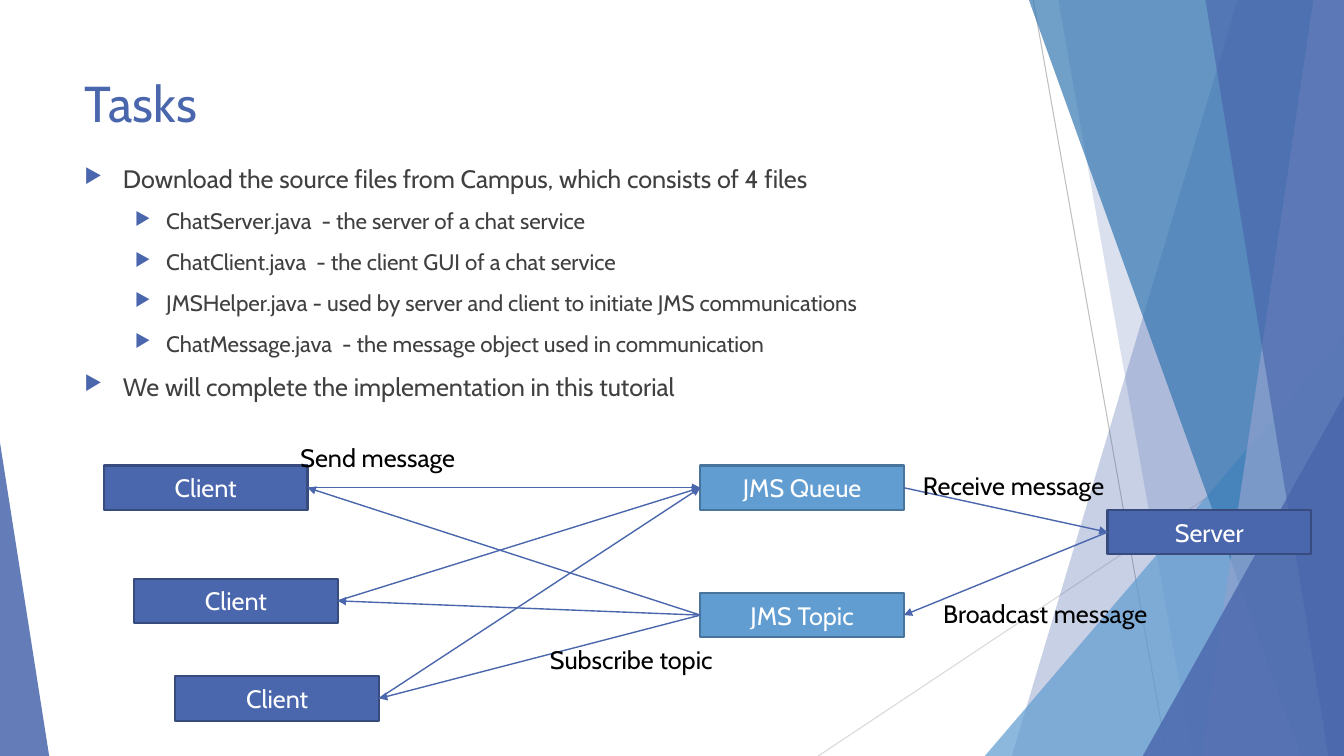
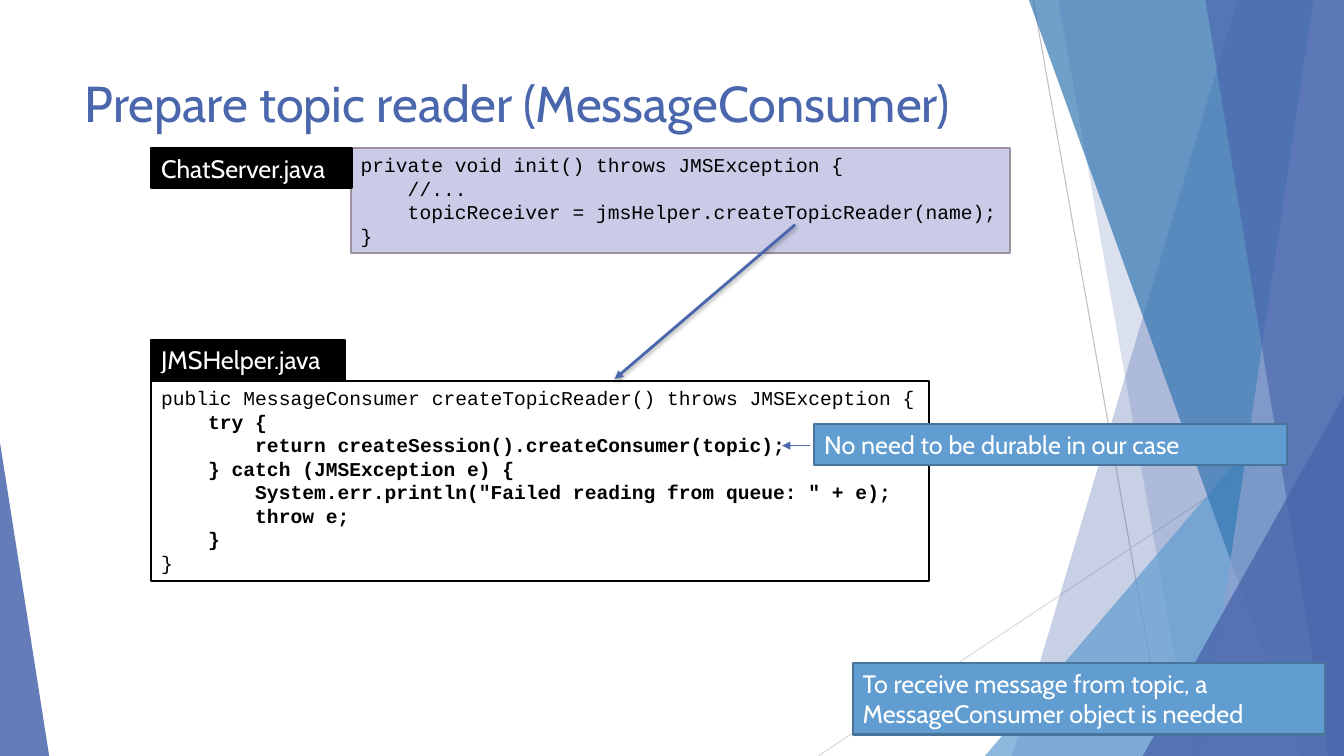
from lxml.etree import SubElement as Sub
from pptx import Presentation
from pptx.dml.color import RGBColor as Rgb
from pptx.enum.shapes import MSO_CONNECTOR as Link, MSO_SHAPE as Kind
from pptx.enum.text import MSO_ANCHOR as Anchor, MSO_AUTO_SIZE as Fit, PP_ALIGN as Align
from pptx.oxml.ns import qn
from pptx.util import Cm, Pt

WIDE, HIGH = 33.87, 19.05
SANS, MONO = "Cabin", "Courier New"
HUES = {
    "blue": "4A66AC", "navy": "374B7F", "sky": "629DD1", "steel": "49749B",
    "deep": "3477B2", "pale": "90A2CF", "lilac": "C9CBE7", "mauve": "9D90A0",
    "ink": "404040", "black": "000000", "white": "FFFFFF",
    "gray": "BFBFBF", "light": "D9D9D9",
}


def hue(name):
    return Rgb.from_string(HUES[name])


def style(par, size, tone, face=SANS, bold=False):
    font = par.font
    font.name, font.size, font.bold = face, Pt(size), bold
    font.color.rgb = hue(tone)


def write(frame, lines, size, tone, face=SANS, align=Align.LEFT, bold=()):
    for num, line in enumerate(lines):
        par = frame.add_paragraph() if num else frame.paragraphs[0]
        par.text = line
        par.alignment = align
        style(par, size, tone, face, num in bold)


def paint(shape, tone, edge=None, alpha=None):
    shape.shadow.inherit = False
    shape.fill.solid()
    shape.fill.fore_color.rgb = hue(tone)
    if edge:
        shape.line.color.rgb = hue(edge)
        shape.line.width = Pt(1.5)
    else:
        shape.line.fill.background()
    if alpha:
        color = shape.element.find(".//" + qn("a:srgbClr"))
        Sub(color, qn("a:alpha"), val=str(alpha * 1000))


def panel(slide, area, tone, edge, lines, ink="white", size=18, wrap=True, **look):
    shape = slide.shapes.add_shape(Kind.RECTANGLE, *map(Cm, area))
    paint(shape, tone, edge)
    frame = shape.text_frame
    frame.word_wrap = wrap
    frame.vertical_anchor = Anchor.MIDDLE if "align" in look else Anchor.TOP
    write(frame, lines, size, ink, **look)
    return shape


def stroke(shapes, ends, tone="blue", width=1, head=True, shade=False):
    line = shapes.add_connector(Link.STRAIGHT, *map(Cm, ends))
    line.line.color.rgb = hue(tone)
    line.line.width = Pt(width)
    props = line.element.spPr
    if head:
        Sub(props.find(qn("a:ln")), qn("a:tailEnd"), type="triangle")
    effect = Sub(props, qn("a:effectLst"))
    if shade:
        cast = Sub(effect, qn("a:outerShdw"), blurRad=str(Pt(3)), dist=str(Pt(2)),
                   dir="5400000", rotWithShape="0")
        color = Sub(cast, qn("a:srgbClr"), val=HUES["black"])
        Sub(color, qn("a:alpha"), val="35000")
    return line


def ribbon(shapes, top, base, tone, alpha):
    pen = shapes.build_freeform(Cm(top), 0)
    rest = [(WIDE, 0), (WIDE, HIGH), (base, HIGH)]
    pen.add_line_segments([(Cm(x), Cm(y)) for x, y in rest])
    paint(pen.convert_to_shape(), tone, alpha=alpha)


def wedge(shapes, left, top, width, tip, tone, alpha):
    area = map(Cm, (left, top, width, HIGH - top))
    shape = shapes.add_shape(Kind.ISOSCELES_TRIANGLE, *area)
    shape.adjustments[0] = tip
    paint(shape, tone, alpha=alpha)


def backdrop(slide):
    group = slide.shapes.add_group_shape()
    parts = group.shapes
    stroke(parts, (26.04, 0, 29.41, HIGH), "gray", 0.75, False)
    stroke(parts, (WIDE, 10.24, 20.62, HIGH), "light", 0.75, False)
    ribbon(parts, 31.19, 25.5, "blue", 30)
    ribbon(parts, 26.67, 30.05, "blue", 20)
    wedge(parts, 24.82, 8.46, 9.05, 1, "sky", 72)
    ribbon(parts, 25.93, 32.79, "deep", 70)
    ribbon(parts, 33.1, 30.28, "pale", 70)
    ribbon(parts, 30.38, 33.48, "blue", 65)
    wedge(parts, 28.8, 9.98, 5.07, 1, "blue", 80)
    wedge(parts, 0, 11.15, 1.24, 0, "blue", 85)
    slide.slide_layout.shapes.element.insert(2, group.element)


def begin(deck, text):
    slide = deck.slides.add_slide(deck.slide_layouts[5])
    title = slide.shapes.title
    title.left, title.top, title.width, title.height = map(Cm, (1.88, 1.7, 23.88, 2.03))
    title.text_frame.vertical_anchor = Anchor.TOP
    write(title.text_frame, [text], 36, "blue")
    return slide


def points(slide, area, items):
    frame = slide.shapes.add_textbox(*map(Cm, area)).text_frame
    frame.word_wrap = True
    for num, (level, text) in enumerate(items):
        par = frame.add_paragraph() if num else frame.paragraphs[0]
        par.text = text
        par.level = level
        par.space_before = Pt(10)
        props = par._p.get_or_add_pPr()
        left, hang, size = ((0.97, 0.97, 18), (2.06, 0.79, 16))[level]
        props.set("marL", str(Cm(left)))
        props.set("indent", str(-Cm(hang)))
        Sub(Sub(props, qn("a:buClr")), qn("a:srgbClr"), val=HUES["blue"])
        Sub(props, qn("a:buSzPct"), val="80000")
        Sub(props, qn("a:buChar"), char="▶")
        style(par, size, "ink")


def label(slide, x, y, width, text):
    shape = slide.shapes.add_textbox(*map(Cm, (x, y, width, 1.02)))
    frame = shape.text_frame
    frame.word_wrap = False
    frame.auto_size = Fit.SHAPE_TO_FIT_TEXT
    write(frame, [text], 18, "black")


def join(slide, start, out, end, into):
    line = stroke(slide.shapes, (0, 0, 1, 1))
    line.begin_connect(start, out)
    line.end_connect(end, into)


def flow(slide, left, top):
    def node(x, y, text, tone="blue", edge="navy"):
        area = (left + x, top + y, 5.13, 1.12)
        return panel(slide, area, tone, edge, [text], align=Align.CENTER)

    clients = [node(x, y, "Client") for x, y in ((0, 0.71), (0.76, 3.56), (1.8, 6.02))]
    server = node(25.29, 1.83, "Server")
    queue = node(15.03, 0.71, "JMS Queue", "sky", "steel")
    topic = node(15.03, 3.92, "JMS Topic", "sky", "steel")
    for client in clients:
        join(slide, client, 3, queue, 1)
        join(slide, topic, 1, client, 3)
    join(slide, queue, 3, server, 1)
    join(slide, server, 1, topic, 3)
    for x, y, width, text in (
        (4.7, 0, 4.5, "Send message"),
        (20.39, 0.71, 5.33, "Receive message"),
        (20.9, 3.92, 5.94, "Broadcast message"),
        (10.99, 5.08, 4.88, "Subscribe topic"),
    ):
        label(slide, left + x, top + y, width, text)


def listing(slide, area, lines, tone, edge, tag, name, bold=()):
    panel(slide, area, tone, edge, lines, "black", 14, False, face=MONO, bold=bold)
    x, y, width = tag
    spot = (area[0] + x, area[1] + y, width, 1.02)
    panel(slide, spot, "black", "black", [name], wrap=False)


def note(slide, x, y, height, text):
    panel(slide, (x, y, 11.91, height), "sky", "steel", [text])


def tasks(deck):
    slide = begin(deck, "Tasks")
    backdrop(slide)
    points(slide, (1.88, 3.99, 23.88, 12.8), [
        (0, "Download the source files from Campus, which consists of 4 files"),
        (1, "ChatServer.java  - the server of a chat service"),
        (1, "ChatClient.java  - the client GUI of a chat service"),
        (1, "JMSHelper.java - used by server and client to initiate JMS communications"),
        (1, "ChatMessage.java  - the message object used in communication"),
        (0, "We will complete the implementation in this tutorial"),
    ])
    flow(slide, 2.62, 11.02)


def reader(deck):
    slide = begin(deck, "Prepare topic reader (MessageConsumer)")
    listing(slide, (8.84, 3.73, 16.61, 2.64), [
        "private void init() throws JMSException {",
        "    //...",
        "    topicReceiver = jmsHelper.createTopicReader(name);",
        "}",
    ], "lilac", "mauve", (-5.03, 0, 5.05), "ChatServer.java")
    listing(slide, (3.81, 9.6, 19.61, 5.05), [
        "public MessageConsumer createTopicReader() throws JMSException {",
        "    try {",
        "        return createSession().createConsumer(topic);",
        "    } catch (JMSException e) {",
        "        System.err.println(\"Failed reading from queue: \" + e);",
        "        throw e;",
        "    }",
        "}",
    ], "white", "black", (0, -1.04, 4.88), "JMSHelper.java", range(1, 7))
    stroke(slide.shapes, (20.04, 5.66, 15.49, 9.55), width=2, shade=True)
    note(slide, 21.49, 16.71, 1.8,
         "To receive message from topic, a MessageConsumer object is needed")
    note(slide, 20.52, 10.69, 1.02, "No need to be durable in our case")
    stroke(slide.shapes, (20.42, 11.23, 19.71, 11.23))


def main():
    deck = Presentation()
    deck.slide_width, deck.slide_height = Cm(WIDE), Cm(HIGH)
    tasks(deck)
    reader(deck)
    deck.save("out.pptx")


if __name__ == "__main__":
    main()
